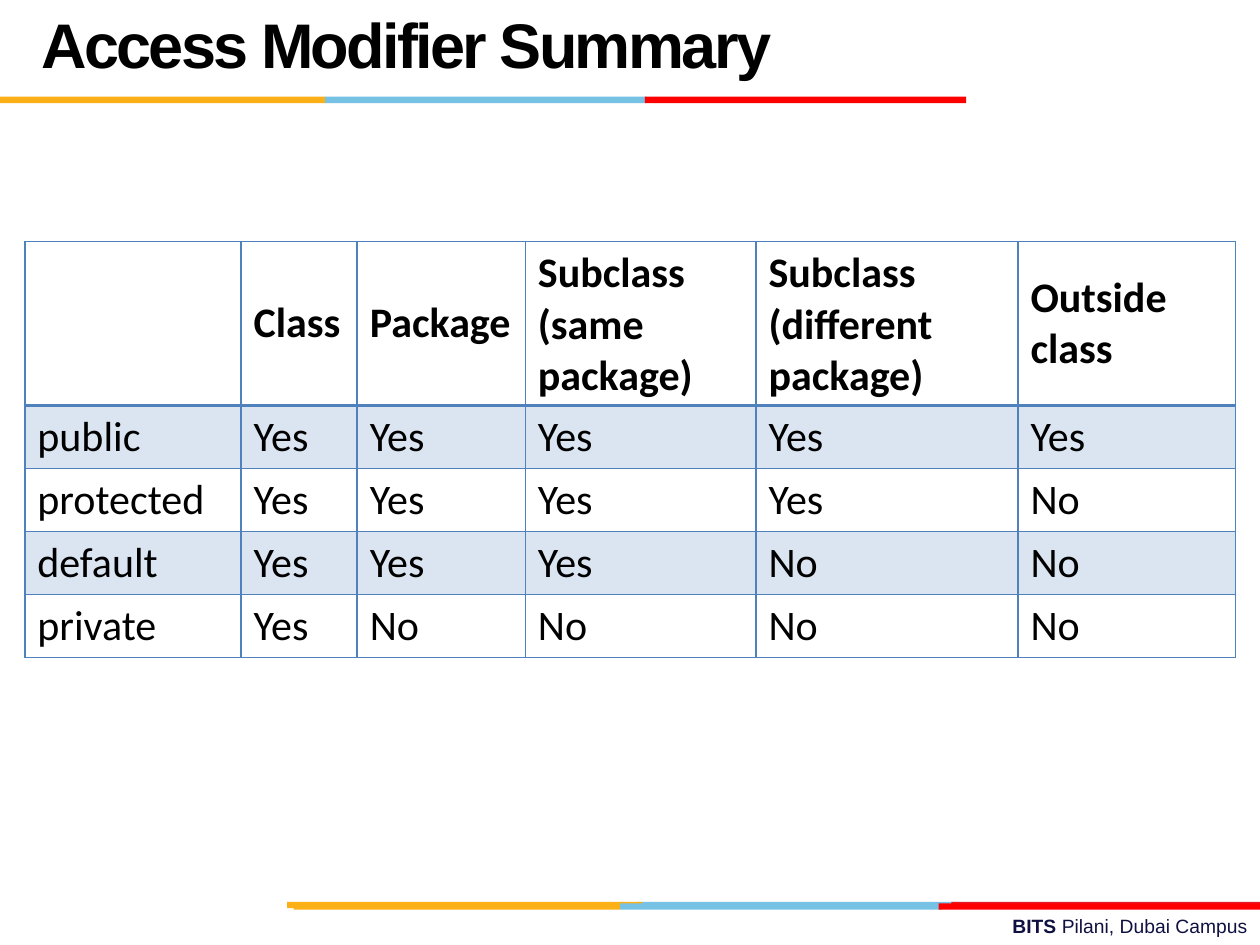
from dataclasses import dataclass

from lxml import etree
from pptx import Presentation
from pptx.dml.color import RGBColor
from pptx.enum.shapes import MSO_SHAPE
from pptx.enum.text import MSO_ANCHOR, MSO_AUTO_SIZE, PP_ALIGN
from pptx.oxml.ns import qn
from pptx.util import Cm, Pt

RECTANGLE = MSO_SHAPE.RECTANGLE
MIDDLE = MSO_ANCHOR.MIDDLE
NO_AUTOFIT = MSO_AUTO_SIZE.NONE
LEFT, RIGHT = PP_ALIGN.LEFT, PP_ALIGN.RIGHT


@dataclass(frozen=True)
class Theme:
    black: str = "000000"
    navy: str = "101141"
    gold: str = "FCB017"
    sky: str = "76C2E5"
    red: str = "FF0000"
    crimson: str = "E31C24"
    table_blue: str = "4F81BD"
    heading_font: str = "Arial"
    table_font: str = "Calibri"
    title_size: int = 36
    table_size: int = 24
    footer_size: int = 11


theme = Theme()


def format_font(font, color, **values):
    for name, value in values.items():
        setattr(font, name, value)
    font.color.rgb = RGBColor.from_string(color)


def add_border(cell, edge, width):
    line = etree.SubElement(cell._tc.get_or_add_tcPr(), qn(f"a:{edge}"), w=str(Pt(width)))
    fill = etree.SubElement(line, qn("a:solidFill"))
    etree.SubElement(fill, qn("a:srgbClr"), val=theme.table_blue)


deck = Presentation()
deck.slide_width, deck.slide_height = Cm(25.4), Cm(19.05)
page = deck.slides.add_slide(deck.slide_layouts[5])

# Footer text
box = page.shapes.add_textbox(Cm(9.09), Cm(18.31), Cm(16.31), Cm(0.74))
box.text_frame.word_wrap = True
para = box.text_frame.paragraphs[0]
para.alignment = RIGHT
for text, bold in (("BITS ", True), ("Pilani, Dubai Campus", False)):
    span = para.add_run()
    span.text = text
    format_font(span.font, theme.navy, name=theme.heading_font,
                size=Pt(theme.footer_size), bold=bold)

# Three-colour bands: top, then (left, width, colour) of each bar
bands = [
    (18.18, [(12.85, 6.48, theme.sky), (19.18, 6.22, theme.crimson), (5.79, 7.16, theme.gold)]),
    (18.21, [(12.5, 6.48, theme.sky), (5.92, 6.58, theme.gold), (18.92, 6.48, theme.red)]),
    (1.95, [(6.55, 6.48, theme.sky), (0, 6.55, theme.gold), (13, 6.48, theme.red)]),
]
for top, bars in bands:
    for left, width, color in bars:
        bar = page.shapes.add_shape(RECTANGLE, Cm(left), Cm(top), Cm(width), Cm(0.13))
        bar.shadow.inherit = False
        bar.fill.solid()
        bar.fill.fore_color.rgb = RGBColor.from_string(color)
        bar.line.fill.background()

# Access table
rows = [
    ["", "Class", "Package", "Subclass (same package)",
     "Subclass (different package)", "Outside class"],
    ["public", "Yes", "Yes", "Yes", "Yes", "Yes"],
    ["protected", "Yes", "Yes", "Yes", "Yes", "No"],
    ["default", "Yes", "Yes", "Yes", "No", "No"],
    ["private", "Yes", "No", "No", "No", "No"],
]
column_widths = [4.36, 2.34, 3.39, 4.65, 5.28, 4.39]
header_height, row_height = 3.3, 1.27
table = page.shapes.add_table(
    len(rows), len(column_widths), Cm(0.5), Cm(4.87), Cm(sum(column_widths)),
    Cm(header_height + row_height * (len(rows) - 1))).table
for column, width in zip(table.columns, column_widths):
    column.width = Cm(width)
for row_index, values in enumerate(rows):
    is_header = row_index == 0
    table.rows[row_index].height = Cm(header_height if is_header else row_height)
    for column_index, text in enumerate(values):
        cell = table.cell(row_index, column_index)
        cell.vertical_anchor = MIDDLE
        edge_widths = {"lnL": 1, "lnR": 1, "lnT": 2 if row_index == 1 else 1,
                       "lnB": 2 if is_header else 1}
        for edge, width in edge_widths.items():
            add_border(cell, edge, width)
        if row_index % 2:
            cell.fill.solid()
            cell.fill.fore_color.rgb = RGBColor.from_string(theme.table_blue)
            tint = cell._tc.tcPr.find(f"{qn('a:solidFill')}/{qn('a:srgbClr')}")
            etree.SubElement(tint, qn("a:alpha"), val="20000")
        else:
            cell.fill.background()
        if text:
            span = cell.text_frame.paragraphs[0].add_run()
            span.text = text
            format_font(span.font, theme.black, name=theme.table_font,
                        size=Pt(theme.table_size), bold=is_header)

# Title
title = page.shapes.title
placement = {"left": Cm(0.58), "top": Cm(0.48), "width": Cm(17.58), "height": Cm(1.02)}
for name, value in placement.items():
    setattr(title, name, value)
frame = title.text_frame
for name, value in {"word_wrap": True, "auto_size": NO_AUTOFIT,
                    "vertical_anchor": MIDDLE}.items():
    setattr(frame, name, value)
para = frame.paragraphs[0]
para.alignment = LEFT
para.line_spacing = Pt(theme.title_size)
span = para.add_run()
span.text = "Access Modifier Summary"
format_font(span.font, theme.black, name=theme.heading_font,
            size=Pt(theme.title_size), bold=True)
span._r.get_or_add_rPr().set("spc", "-150")

deck.save("out.pptx")
